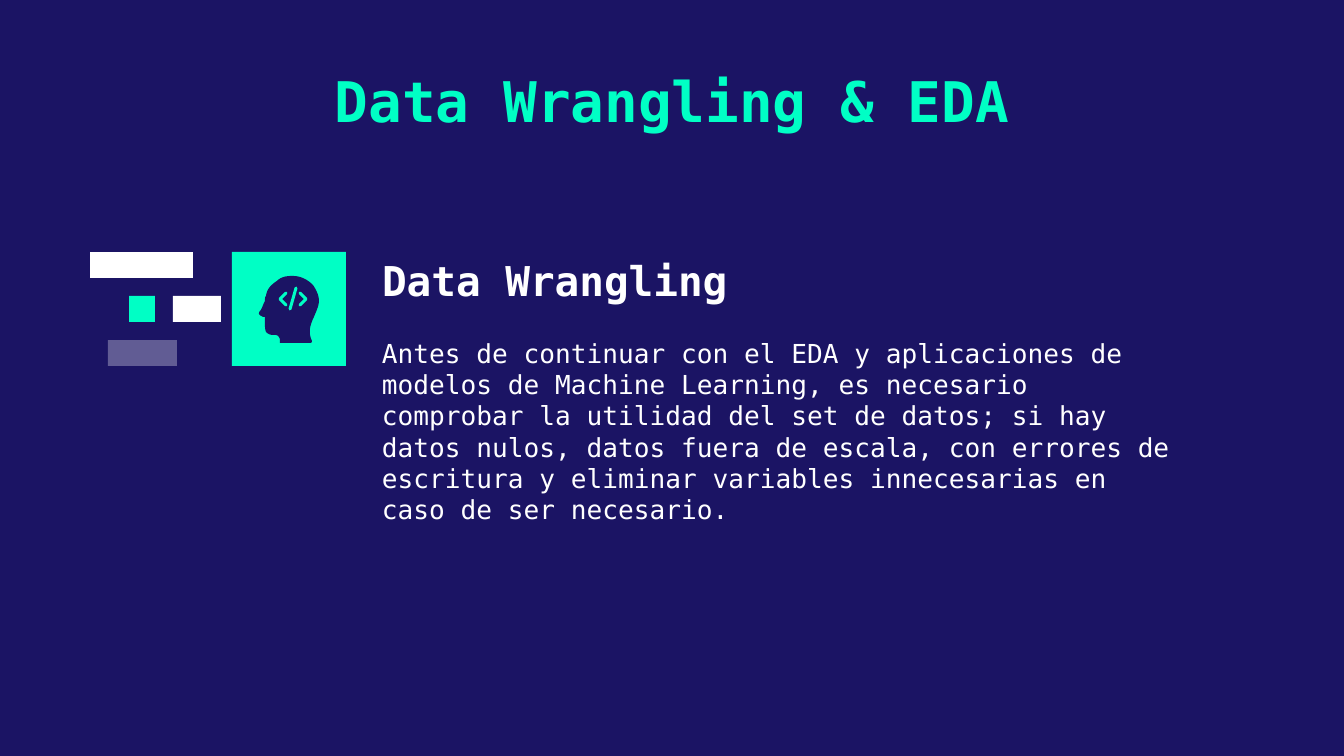
from lxml import etree
from pptx import Presentation
from pptx.dml.color import RGBColor
from pptx.enum.shapes import MSO_SHAPE
from pptx.enum.text import MSO_ANCHOR, PP_ALIGN
from pptx.oxml.ns import qn
from pptx.util import Pt

EMU = 914400 / 134.4
FONT = "DejaVu Sans Mono"
NAVY = RGBColor(0x1B, 0x14, 0x64)
MINT = RGBColor(0x00, 0xFF, 0xC5)
WHITE = RGBColor(0xFF, 0xFF, 0xFF)
RECT = MSO_SHAPE.RECTANGLE
TOP, MIDDLE, BOTTOM = MSO_ANCHOR.TOP, MSO_ANCHOR.MIDDLE, MSO_ANCHOR.BOTTOM
LEFT, CENTER = PP_ALIGN.LEFT, PP_ALIGN.CENTER

# Head outline, relative to the tile: a start, then cubic curves
START = (61, 24)
CURVES = [
    ((54, 24), (49, 25), (45, 29)), ((39, 33), (35, 37), (34, 44)),
    ((33, 45), (33, 47), (33, 49)), ((31, 53), (31, 54), (29, 58)),
    ((27, 60), (27, 61), (27, 62)), ((28, 64), (30, 64), (31, 65)),
    ((31, 65), (31, 65), (33, 65)), ((33, 67), (33, 69), (33, 71)),
    ((33, 75), (33, 77), (34, 80)), ((37, 83), (39, 83), (42, 83)),
    ((45, 83), (46, 83), (48, 87)), ((48, 89), (48, 89), (48, 91)),
    ((58, 91), (68, 91), (78, 91)), ((80, 91), (80, 90), (80, 89)),
    ((76, 81), (78, 73), (82, 65)), ((84, 60), (87, 54), (87, 49)),
    ((87, 44), (85, 39), (81, 33)), ((76, 28), (69, 24), START),
]
# Code sign strokes, relative to the tile
MARKS = [
    [(54, 41), (48, 47), (54, 53)],
    [(64, 36), (58, 57)],
    [(68, 41), (74, 47), (68, 53)],
]


def px(n):
    return round(n * EMU)


def paint(shape, color, alpha=None):
    shape.shadow.inherit = False
    shape.fill.solid()
    shape.fill.fore_color.rgb = color
    shape.line.fill.background()
    if alpha is not None:
        tint = shape.fill._xPr.find(".//" + qn("a:srgbClr"))
        etree.SubElement(tint, qn("a:alpha"), val=str(alpha * 1000))


def block(slide, x, y, w, h, color, alpha=None):
    shape = slide.shapes.add_shape(RECT, px(x), px(y), px(w), px(h))
    paint(shape, color, alpha)


def label(slide, box, text, size, color, bold=False, align=LEFT, anchor=TOP, pad=13):
    frame = slide.shapes.add_textbox(*map(px, box)).text_frame
    frame.word_wrap = True
    frame.vertical_anchor = anchor
    frame.margin_left = frame.margin_right = px(13)
    frame.margin_top = frame.margin_bottom = px(pad)
    para = frame.paragraphs[0]
    para.alignment = align
    run = para.add_run()
    run.text = text
    run.font.name = FONT
    run.font.size = Pt(size)
    run.font.bold = bold
    run.font.color.rgb = color


def trace(slide, x, y, points, close):
    spots = [(px(x + a), px(y + b)) for a, b in points]
    pen = slide.shapes.build_freeform(*spots[0])
    pen.add_line_segments(spots[1:], close=close)
    return pen.convert_to_shape()


def smooth(start, curves, steps=8):
    points = [start]
    for b, c, d in curves:
        a = points[-1]
        for i in range(1, steps + 1):
            t = i / steps
            u = 1 - t
            points.append(tuple(
                u**3 * p + 3 * u * u * t * q + 3 * u * t * t * r + t**3 * s
                for p, q, r, s in zip(a, b, c, d)))
    return points


def icon(slide, x, y, side):
    # Tile with a head
    block(slide, x, y, side, side, MINT)
    paint(trace(slide, x, y, smooth(START, CURVES), True), NAVY)
    # Code sign inside the head
    for mark in MARKS:
        shape = trace(slide, x, y, mark, False)
        shape.shadow.inherit = False
        shape.fill.background()
        shape.line.color.rgb = MINT
        shape.line.width = px(3)
        line = shape.line._ln
        line.set("cap", "rnd")
        etree.SubElement(line, qn("a:round"))


def bars(slide, x, y):
    # Three rows of blocks at an equal pitch
    rows = [
        [(0, 103, WHITE, None)],
        [(39, 26, MINT, None), (83, 48, WHITE, None)],
        [(18, 69, WHITE, 31)],
    ]
    for i, row in enumerate(rows):
        for left, width, color, alpha in row:
            block(slide, x + left, y + 44 * i, width, 26, color, alpha)


def topic(slide, x, y, head, body):
    label(slide, (x, y, 920, 53), head, 22, WHITE, True, anchor=BOTTOM, pad=0)
    label(slide, (x, y + 72, 828, 218), body, 14, WHITE)


def main():
    deck = Presentation()
    deck.slide_width, deck.slide_height = px(1344), px(756)
    slide = deck.slides.add_slide(deck.slide_layouts[6])
    slide.background.fill.solid()
    slide.background.fill.fore_color.rgb = NAVY

    label(slide, (188, 51, 968, 98), "Data Wrangling & EDA", 30, MINT, True,
          CENTER, MIDDLE)
    bars(slide, 90, 252)
    icon(slide, 232, 252, 114)
    topic(slide, 369, 252, "Data Wrangling",
          "Antes de continuar con el EDA y aplicaciones de modelos de Machine "
          "Learning, es necesario comprobar la utilidad del set de datos; si hay "
          "datos nulos, datos fuera de escala, con errores de escritura y eliminar "
          "variables innecesarias en caso de ser necesario.")
    deck.save("out.pptx")


if __name__ == "__main__":
    main()
